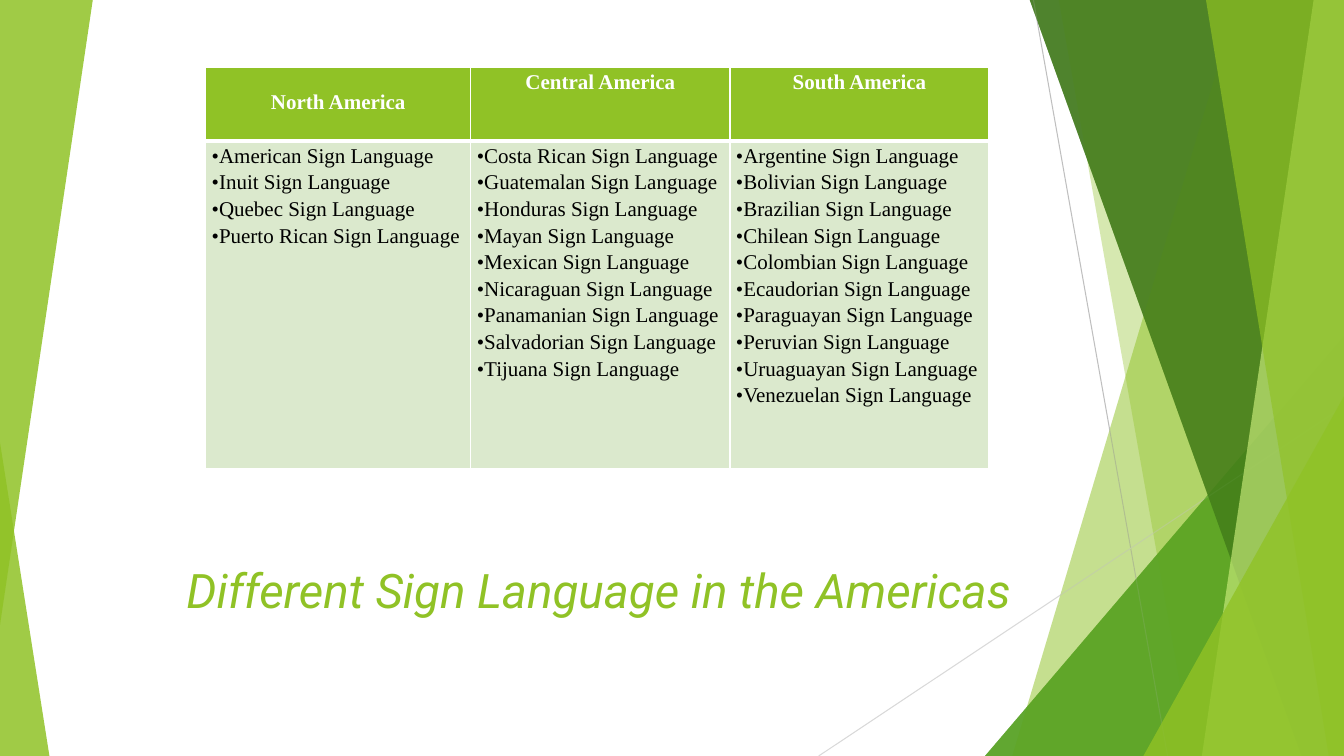
from lxml.etree import SubElement
from pptx import Presentation
from pptx.dml.color import RGBColor
from pptx.enum.shapes import MSO_CONNECTOR, MSO_SHAPE
from pptx.enum.text import MSO_ANCHOR, PP_ALIGN
from pptx.oxml.ns import qn
from pptx.util import Inches, Pt

LIME = RGBColor(0x90, 0xC2, 0x26)
GREEN = RGBColor(0x54, 0xA0, 0x21)
DARK_GREEN = RGBColor(0x3F, 0x78, 0x19)
PALE_LIME = RGBColor(0xC0, 0xE4, 0x74)
CELL_GREEN = RGBColor(0xDB, 0xE9, 0xCD)
GRAY = RGBColor(0xBF, 0xBF, 0xBF)
LIGHT_GRAY = RGBColor(0xD9, 0xD9, 0xD9)
WHITE = RGBColor(0xFF, 0xFF, 0xFF)
BLACK = RGBColor(0x00, 0x00, 0x00)

WIDTH, HEIGHT = 13.33, 7.5
TOP = -0.01

presentation = Presentation()
presentation.slide_width = Inches(WIDTH)
presentation.slide_height = Inches(HEIGHT)
slide = presentation.slides.add_slide(presentation.slide_layouts[6])


def paint(shape, color, opacity):
    shape.shadow.inherit = False
    shape.line.fill.background()
    shape.fill.solid()
    shape.fill.fore_color.rgb = color
    color_element = shape.fill._xPr.find(qn("a:solidFill"))[0]
    SubElement(color_element, qn("a:alpha"), val=str(opacity * 1000))


def add_triangle(left, top, width, height, apex, color, opacity):
    triangle = slide.shapes.add_shape(
        MSO_SHAPE.ISOSCELES_TRIANGLE,
        Inches(left), Inches(top), Inches(width), Inches(height))
    triangle.adjustments[0] = apex
    paint(triangle, color, opacity)
    return triangle


# Right-hand facets: bands (top x, bottom x) reach the right edge,
# triangles (left, top) fill the bottom right corner
facets = [
    ("band", 12.28, 10.04, LIME, 30),
    ("band", 10.5, 11.83, LIME, 20),
    ("triangle", 9.77, 3.33, GREEN, 72),
    ("band", 10.21, 12.91, DARK_GREEN, 70),
    ("band", 13.03, 11.92, PALE_LIME, 70),
    ("band", 11.96, 13.18, LIME, 65),
    ("triangle", 11.34, 3.93, LIME, 80),
]
thin_lines = [
    (10.25, 0, 11.58, HEIGHT, GRAY),
    (WIDTH, 4.03, 8.12, HEIGHT, LIGHT_GRAY),
]

# Two layers of facets, with the thin lines between them
for layer in range(2):
    for kind, first, second, color, opacity in facets:
        if kind == "triangle":
            add_triangle(first, second, WIDTH - first, HEIGHT - second, 1, color, opacity)
            continue
        builder = slide.shapes.build_freeform(Inches(first), Inches(TOP))
        corners = [(WIDTH, TOP), (WIDTH, HEIGHT), (second, HEIGHT)]
        builder.add_line_segments([(Inches(x), Inches(y)) for x, y in corners])
        paint(builder.convert_to_shape(), color, opacity)

    if layer == 0:
        # Left bottom triangle
        add_triangle(0, 4.39, 0.49, 3.11, 0, LIME, 85)
        for x1, y1, x2, y2, color in thin_lines:
            line = slide.shapes.add_connector(
                MSO_CONNECTOR.STRAIGHT, Inches(x1), Inches(y1), Inches(x2), Inches(y2))
            line.line.color.rgb = color
            line.line.width = Pt(0.75)
            SubElement(line._element.spPr, qn("a:effectLst"))

# Left top triangle, pointing down
left_triangle = add_triangle(0, 0, 0.92, 6.2, 1, LIME, 85)
left_triangle.rotation = 180

# Title
title = slide.shapes.add_textbox(Inches(1.75), Inches(5), Inches(8.39), Inches(1.19))
title.text_frame.word_wrap = True
title.text_frame.vertical_anchor = MSO_ANCHOR.BOTTOM
paragraph = title.text_frame.paragraphs[0]
paragraph.line_spacing = 0.9
run = paragraph.add_run()
run.text = "Different Sign Language in the Americas"
run.font.name = "Roboto"
run.font.size = Pt(34)
run.font.italic = True
run.font.color.rgb = LIME

# Table: region, heading line spacing, languages
regions = [
    ("North America", 2.0, ["American", "Inuit", "Quebec", "Puerto Rican"]),
    ("Central America", 1.15, [
        "Costa Rican", "Guatemalan", "Honduras", "Mayan", "Mexican",
        "Nicaraguan", "Panamanian", "Salvadorian", "Tijuana"]),
    ("South America", 1.15, [
        "Argentine", "Bolivian", "Brazilian", "Chilean", "Colombian",
        "Ecaudorian", "Paraguayan", "Peruvian", "Uruaguayan", "Venezuelan"]),
]
column_widths = [2.63, 2.57, 2.57]
row_heights = [0.73, 3.25]
table = slide.shapes.add_table(
    2, 3, Inches(2.04), Inches(0.67),
    Inches(sum(column_widths)), Inches(sum(row_heights))).table
table.horz_banding = False
for row, height in zip(table.rows, row_heights):
    row.height = Inches(height)

for column, (region, heading_spacing, languages) in enumerate(regions):
    table.columns[column].width = Inches(column_widths[column])
    names = [f"{language} Sign Language" for language in languages]
    for row, lines in enumerate([[region], names]):
        heading = row == 0
        cell = table.cell(row, column)
        cell.margin_left = cell.margin_right = Inches(0.06)
        cell.margin_top = cell.margin_bottom = 0

        # White borders, thick between heading and body
        properties = cell._tc.get_or_add_tcPr()
        for side in ("lnL", "lnR", "lnT", "lnB"):
            thick = side == ("lnB" if heading else "lnT")
            border = SubElement(properties, qn(f"a:{side}"), w=str(Pt(3 if thick else 1)))
            fill = SubElement(border, qn("a:solidFill"))
            SubElement(fill, qn("a:srgbClr"), val=str(WHITE))
        cell.fill.solid()
        cell.fill.fore_color.rgb = LIME if heading else CELL_GREEN

        # Cell text
        for index, text in enumerate(lines):
            frame = cell.text_frame
            paragraph = frame.add_paragraph() if index else frame.paragraphs[0]
            paragraph.alignment = PP_ALIGN.CENTER if heading else PP_ALIGN.LEFT
            paragraph.line_spacing = heading_spacing if heading else 1.15
            if not heading:
                bullet_properties = paragraph._p.get_or_add_pPr()
                bullet_properties.set("marL", str(Inches(0.07)))
                bullet_properties.set("indent", str(-Inches(0.07)))
                SubElement(bullet_properties, qn("a:buFont"), typeface="Times New Roman")
                SubElement(bullet_properties, qn("a:buChar"), char="•")
            run = paragraph.add_run()
            run.text = text
            run.font.name = "Times New Roman"
            run.font.size = Pt(15)
            run.font.bold = heading
            run.font.color.rgb = WHITE if heading else BLACK

presentation.save("out.pptx")
